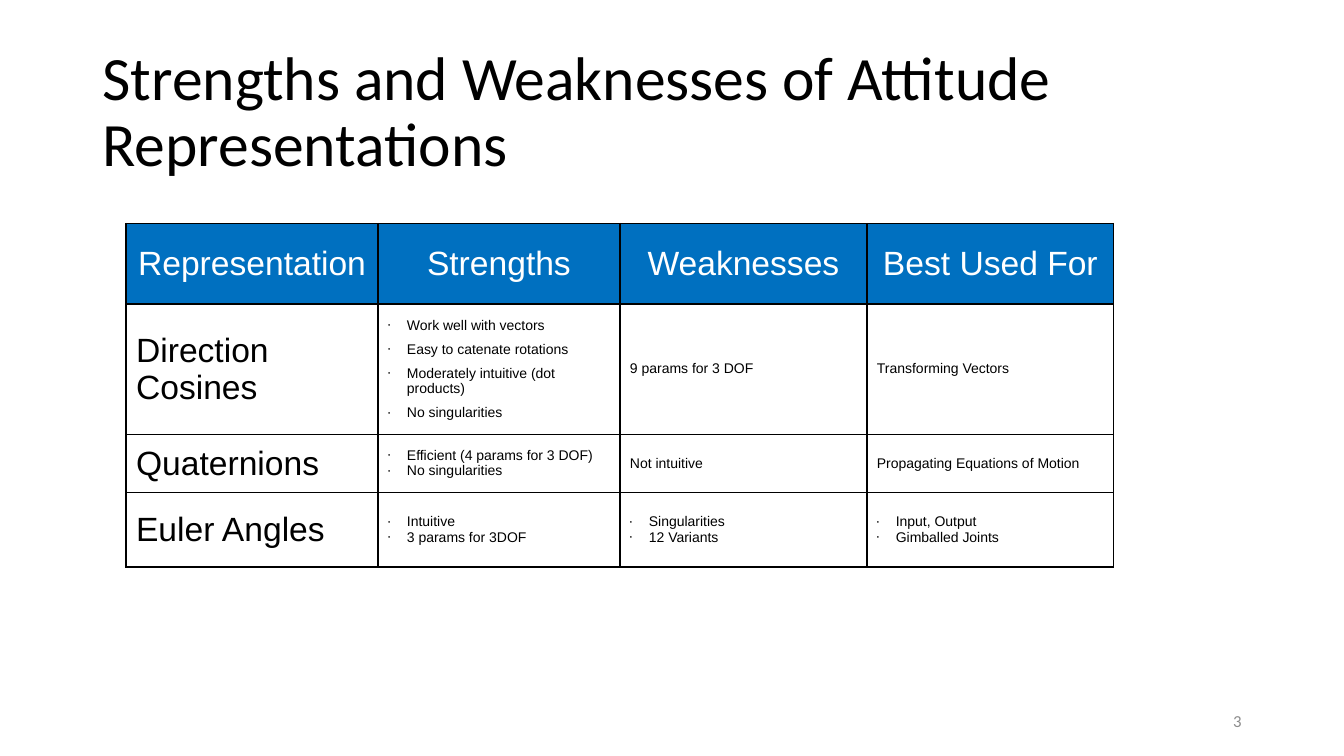
from pptx import Presentation
from pptx.dml.color import RGBColor
from pptx.enum.text import MSO_ANCHOR, PP_ALIGN
from pptx.oxml import parse_xml
from pptx.oxml.ns import nsdecls
from pptx.util import Pt

BLACK = RGBColor(0x00, 0x00, 0x00)
WHITE = RGBColor(0xFF, 0xFF, 0xFF)
BLUE = RGBColor(0x00, 0x70, 0xC0)
GRAY = RGBColor(0x8C, 0x8C, 0x8C)

TITLE = "Strengths and Weaknesses of Attitude Representations"
PAGE_NUMBER = "3"
HEADERS = ["Representation", "Strengths", "Weaknesses", "Best Used For"]
# A list becomes bullets, a string stays a plain paragraph.
ROWS = [
    ["Direction Cosines",
     ["Work well with vectors", "Easy to catenate rotations",
      "Moderately intuitive (dot products)", "No singularities"],
     "9 params for 3 DOF", "Transforming Vectors"],
    ["Quaternions",
     ["Efficient (4 params for 3 DOF)", "No singularities"],
     "Not intuitive", "Propagating Equations of Motion"],
    ["Euler Angles",
     ["Intuitive", "3 params for 3DOF"],
     ["Singularities", "12 Variants"],
     ["Input, Output", "Gimballed Joints"]],
]
COLUMN_WIDTHS = [180, 172.8, 176.4, 176.4]
ROW_HEIGHTS = [57.6, 93, 41.6, 53.3]
TABLE_LEFT, TABLE_TOP = 90, 159.6
THIN, THICK = 1, 1.5
BULLET_INDENT = 13.5


def add_run(paragraph, text, size, color, font="Arial"):
    run = paragraph.add_run()
    run.text = text
    run.font.name = font
    run.font.size = Pt(size)
    run.font.color.rgb = color


def add_bullet(paragraph):
    properties = paragraph._p.get_or_add_pPr()
    properties.set("marL", str(Pt(BULLET_INDENT)))
    properties.set("indent", str(-Pt(BULLET_INDENT)))
    for tag in ('buSzPct val="45000"', 'buFont typeface="Arial"', 'buChar char="•"'):
        properties.append(parse_xml(f"<a:{tag} {nsdecls('a')}/>"))


def set_borders(cell, widths):
    """Draw the left, right, top and bottom borders with widths in points."""
    properties = cell._tc.get_or_add_tcPr()
    for index, (side, width) in enumerate(zip("LRTB", widths)):
        properties.insert(index, parse_xml(
            f'<a:ln{side} {nsdecls("a")} w="{Pt(width)}"><a:solidFill>'
            f'<a:srgbClr val="{BLACK}"/></a:solidFill></a:ln{side}>'))


def fill_cell(cell, content, row, column):
    header = row == 0
    cell.vertical_anchor = MSO_ANCHOR.MIDDLE
    if header:
        cell.fill.solid()
        cell.fill.fore_color.rgb = BLUE
    else:
        cell.fill.background()
    bulleted = isinstance(content, list)
    frame = cell.text_frame
    for index, line in enumerate(content if bulleted else [content]):
        paragraph = frame.add_paragraph() if index else frame.paragraphs[0]
        paragraph.alignment = PP_ALIGN.CENTER if header else PP_ALIGN.LEFT
        if bulleted:
            if row == 1:
                paragraph.space_after = Pt(6)
            add_bullet(paragraph)
        add_run(paragraph, line, 24 if header or column == 0 else 10,
                WHITE if header else BLACK)
    set_borders(cell, (THICK,
                       THIN if column == len(COLUMN_WIDTHS) - 1 else THICK,
                       THIN,
                       THICK if row == len(ROW_HEIGHTS) - 1 else THIN))


def add_title(slide):
    title = slide.shapes.title
    title.left, title.top, title.width, title.height = Pt(66), Pt(28.8), Pt(828), Pt(104.4)
    title.text_frame.vertical_anchor = MSO_ANCHOR.MIDDLE
    paragraph = title.text_frame.paragraphs[0]
    paragraph.alignment = PP_ALIGN.LEFT
    paragraph.line_spacing = 0.9
    add_run(paragraph, TITLE, 44, BLACK, "Calibri")


def add_page_number(slide):
    box = slide.shapes.add_textbox(Pt(678), Pt(500.5), Pt(216), Pt(28.8))
    box.text_frame.word_wrap = True
    box.text_frame.vertical_anchor = MSO_ANCHOR.MIDDLE
    paragraph = box.text_frame.paragraphs[0]
    paragraph.alignment = PP_ALIGN.RIGHT
    add_run(paragraph, PAGE_NUMBER, 12, GRAY, "Calibri")


def add_comparison_table(slide):
    table = slide.shapes.add_table(
        len(ROW_HEIGHTS), len(COLUMN_WIDTHS), Pt(TABLE_LEFT), Pt(TABLE_TOP),
        Pt(sum(COLUMN_WIDTHS)), Pt(sum(ROW_HEIGHTS))).table
    for column, width in zip(table.columns, COLUMN_WIDTHS):
        column.width = Pt(width)
    for row, height in zip(table.rows, ROW_HEIGHTS):
        row.height = Pt(height)
    table.horz_banding = False
    for row, contents in enumerate([HEADERS] + ROWS):
        for column, content in enumerate(contents):
            fill_cell(table.cell(row, column), content, row, column)


def main():
    presentation = Presentation()
    presentation.slide_width, presentation.slide_height = Pt(960), Pt(540)
    slide = presentation.slides.add_slide(presentation.slide_layouts[5])
    add_page_number(slide)
    add_title(slide)
    add_comparison_table(slide)
    presentation.save("out.pptx")


if __name__ == "__main__":
    main()
